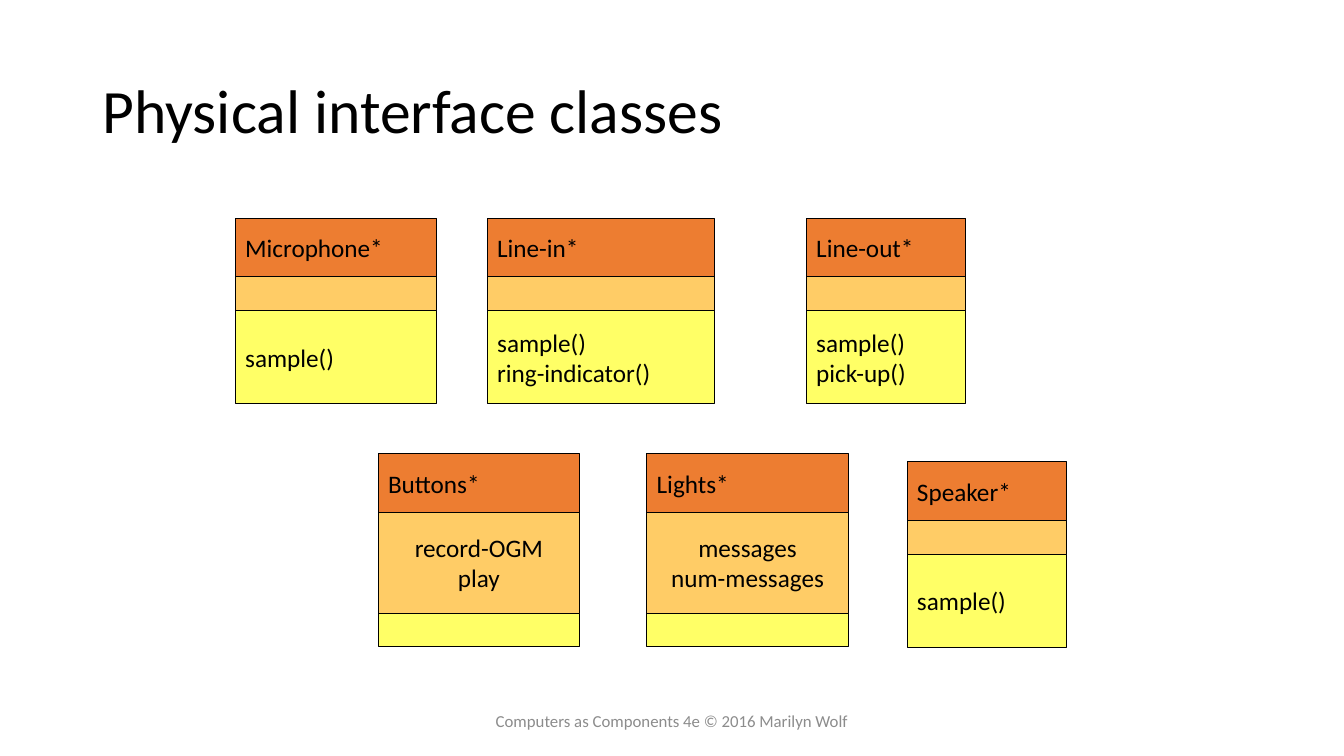
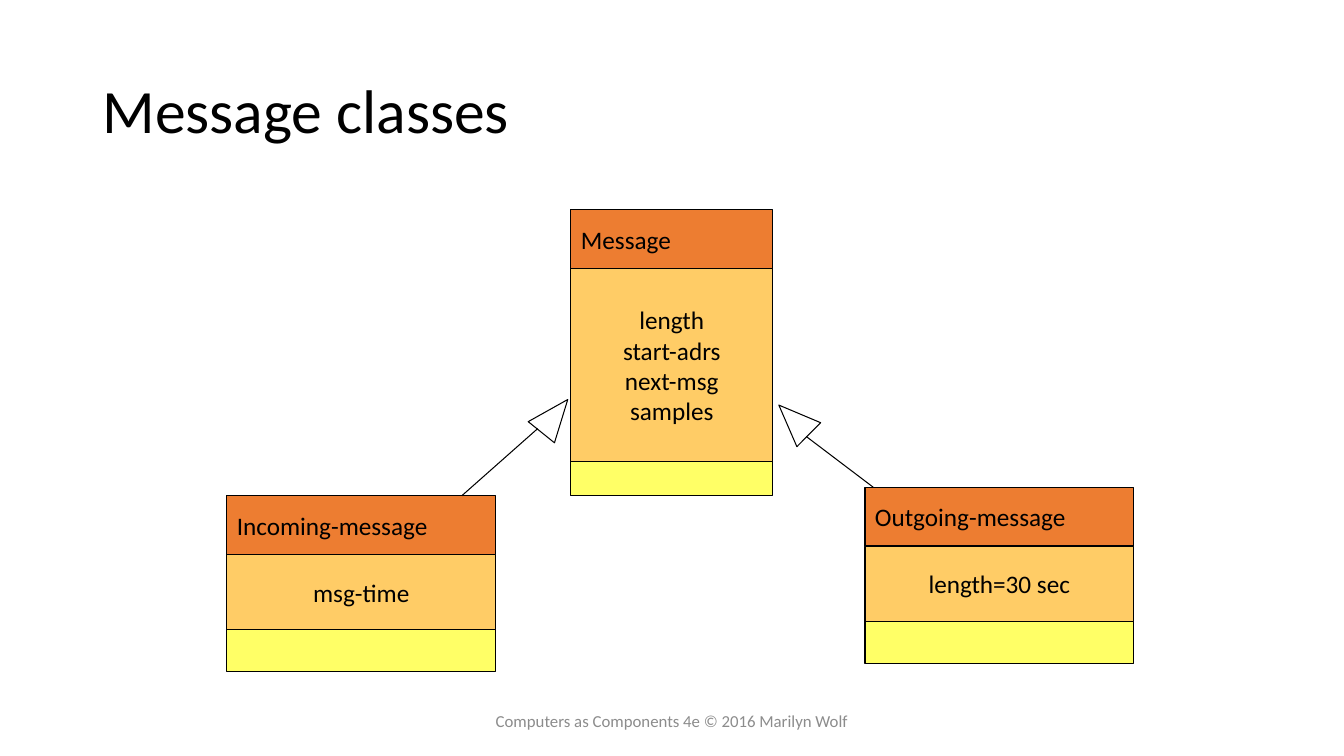
from dataclasses import dataclass

from lxml.etree import SubElement
from pptx import Presentation
from pptx.dml.color import RGBColor
from pptx.enum.shapes import MSO_CONNECTOR, MSO_SHAPE
from pptx.enum.text import MSO_ANCHOR, PP_ALIGN
from pptx.oxml.ns import qn
from pptx.util import Cm, Pt

# Shared look
FONT = "Calibri"
BLACK, WHITE, GREY = "000000", "FFFFFF", "8C8C8C"
HEAD, ATTR, OPER = "ED7D31", "FFCC66", "FFFF66"
FOOTER = "Computers as Components 4e © 2016 Marilyn Wolf"
HEAD_H = 1.48
SLIM = 0.85
LEFT, CENTER = PP_ALIGN.LEFT, PP_ALIGN.CENTER


@dataclass
class UmlBox:
    """A class box: name, attributes and operations; lengths in cm."""
    name: str
    x: float
    y: float
    width: float
    attrs: str = ""
    opers: str = ""
    attr_h: float = SLIM
    oper_h: float = SLIM


@dataclass
class Link:
    """A generalization: line from child to base of a turned triangle."""
    child: tuple[float, float]
    base: tuple[float, float]
    tip: tuple[float, float]
    angle: float


def color(code: str) -> RGBColor:
    return RGBColor.from_string(code)


def write(shape, text: str, *, size: float = 18, ink: str = BLACK,
          align=LEFT, wrap: bool = True, spacing: float = 1.0) -> None:
    frame = shape.text_frame
    frame.word_wrap = wrap
    frame.vertical_anchor = MSO_ANCHOR.MIDDLE
    frame.text = text
    for para in frame.paragraphs:
        para.alignment = align
        para.line_spacing = spacing
        para.font.name = FONT
        para.font.size = Pt(size)
        para.font.color.rgb = color(ink)


def outline(line) -> None:
    line.color.rgb = color(BLACK)
    line.width = Pt(0.75)


def draw_shape(slide, kind, x: float, y: float, width: float, height: float,
               fill: str):
    shape = slide.shapes.add_shape(kind, Cm(x), Cm(y), Cm(width), Cm(height))
    shape.shadow.inherit = False
    shape.fill.solid()
    shape.fill.fore_color.rgb = color(fill)
    outline(shape.line)
    return shape


def draw_box(slide, box: UmlBox) -> None:
    y = box.y
    for text, height, fill, align in (
        (box.name, HEAD_H, HEAD, LEFT),
        (box.attrs, box.attr_h, ATTR, CENTER),
        (box.opers, box.oper_h, OPER, LEFT),
    ):
        part = draw_shape(slide, MSO_SHAPE.RECTANGLE, box.x, y, box.width,
                          height, fill)
        if text:
            write(part, text, align=align, wrap=False)
        y += height


def draw_link(slide, link: Link) -> None:
    arrow = draw_shape(slide, MSO_SHAPE.ISOSCELES_TRIANGLE, *link.tip,
                       0.85, 1.06, WHITE)
    arrow.rotation = link.angle
    ends = [Cm(value) for value in (*link.base, *link.child)]
    line = slide.shapes.add_connector(MSO_CONNECTOR.STRAIGHT, *ends)
    outline(line.line)
    SubElement(line.element.spPr, qn("a:effectLst"))


def add_slide(deck, heading: str):
    """Add a title-only slide with its heading and footer."""
    slide = deck.slides.add_slide(deck.slide_layouts[5])
    title = slide.shapes.title
    title.left, title.top = Cm(2.33), Cm(1.02)
    title.width, title.height = Cm(29.21), Cm(3.68)
    write(title, heading, size=44, spacing=0.9)
    footer = slide.shapes.add_textbox(Cm(11.22), Cm(17.65), Cm(11.43), Cm(1.02))
    write(footer, FOOTER, size=12, ink=GREY, align=CENTER)
    return slide


# Slide content
TOP, LOW = 5.5, 11.43
DEVICES = [
    UmlBox("Microphone*", 5.93, TOP, 5.08, opers="sample()", oper_h=2.34),
    UmlBox("Line-in*", 12.28, TOP, 5.72, opers="sample()\nring-indicator()",
           oper_h=2.34),
    UmlBox("Line-out*", 20.32, TOP, 4.02, opers="sample()\npick-up()",
           oper_h=2.34),
    UmlBox("Buttons*", 9.53, LOW, 5.08, "record-OGM\nplay", attr_h=2.54),
    UmlBox("Lights*", 16.3, LOW, 5.08, "messages\nnum-messages", attr_h=2.54),
    UmlBox("Speaker*", 22.86, 11.64, 4.02, opers="sample()", oper_h=2.34),
]
MESSAGES = [
    UmlBox("Message", 14.39, 5.29, 5.08,
           "length\nstart-adrs\nnext-msg\nsamples", attr_h=4.87),
    UmlBox("Incoming-message", 5.72, 12.49, 6.77, "msg-time",
           attr_h=1.9, oper_h=1.06),
    UmlBox("Outgoing-message", 21.8, 12.28, 6.77, "length=30 sec",
           attr_h=1.9, oper_h=1.06),
]
LINKS = [
    Link((11.64, 12.49), (13.55, 10.8), (13.55, 9.95), 38.9),
    Link((22.01, 12.28), (20.32, 11), (19.58, 10.05), 314.7),
]


def main() -> None:
    deck = Presentation()
    deck.slide_width, deck.slide_height = Cm(33.87), Cm(19.05)
    for heading, boxes, links in (
        ("Physical interface classes", DEVICES, []),
        ("Message classes", MESSAGES, LINKS),
    ):
        slide = add_slide(deck, heading)
        for box in boxes:
            draw_box(slide, box)
        for link in links:
            draw_link(slide, link)
    deck.save("out.pptx")


if __name__ == "__main__":
    main()
